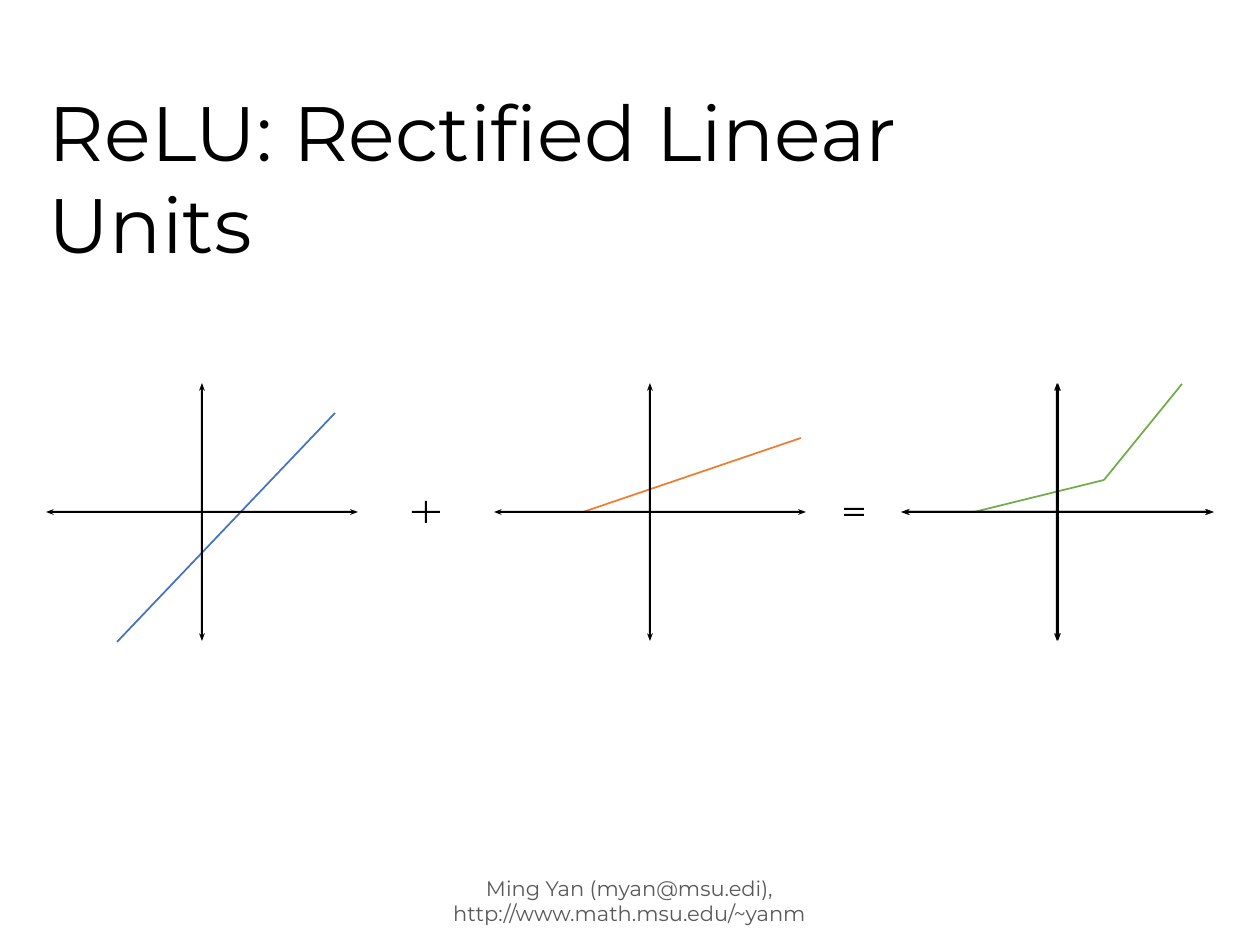
"""Build the slide showing a line plus a ramp equalling a piecewise linear function."""
import itertools

import lxml.etree
import pptx
import pptx.dml.color
import pptx.enum.shapes
import pptx.enum.text
import pptx.oxml.ns
import pptx.util

PX = 914400 // 126
RGBColor = pptx.dml.color.RGBColor
BLACK = RGBColor(0x00, 0x00, 0x00)
GREY = RGBColor(0x59, 0x59, 0x59)
BLUE = RGBColor(0x44, 0x72, 0xC4)
ORANGE = RGBColor(0xED, 0x7D, 0x31)
GREEN = RGBColor(0x70, 0xAD, 0x47)

FONT = "Montserrat"
TITLE = "ReLU: Rectified Linear Units"
FOOTER = "Ming Yan (myan@msu.edi), http://www.math.msu.edu/~yanm"
TITLE_BOX = (47, 128, 927, 96)
FOOTER_BOX = (430, 876, 399, 50)

AXIS_Y = 512
AXIS_REACH = (156, 129)
ARROWHEAD = [(-6, -1), (-8, -3), (0, 0), (-8, 3), (-6, 1)]
BLUNT_END = [(0, -1), (0, 1)]
PLOTS = [
    {"color": BLUE, "axes": [202], "curve": [(117, 642), (335, 413)]},
    {"color": ORANGE, "axes": [650], "curve": [(583, 512), (801, 438)]},
    {"color": GREEN, "axes": [1058, 1057],
     "curve": [(974, 512), (1104, 480), (1182, 384)]},
]
PLUS_X, PLUS_REACH = 426, (14, 11)
EQUAL_BARS = [(844, 508, 20, 2), (844, 514, 20, 2)]


def scaled(lengths):
    return [length * PX for length in lengths]


def fill_text(shape, text, frame_format, align, size, color):
    frame = shape.text_frame
    frame.text = text
    for name, value in frame_format.items():
        setattr(frame, name, value)
    para = frame.paragraphs[0]
    para.alignment = align
    font_format = {"name": FONT, "size": pptx.util.Pt(size), "bold": False}
    for name, value in font_format.items():
        setattr(para.font, name, value)
    para.font.color.rgb = color


def add_curve(slide, points, color):
    for start, end in itertools.pairwise(points):
        segment = slide.shapes.add_connector(
            pptx.enum.shapes.MSO_CONNECTOR.STRAIGHT, *scaled((*start, *end)))
        segment.line.color.rgb = color
        segment.line.width = pptx.util.Pt(1)
        lxml.etree.SubElement(
            segment._element.spPr, pptx.oxml.ns.qn("a:effectLst"))


def cross_outline(center, reach, arm_end):
    points = []
    for turn in range(4):
        length = reach[turn % 2]
        arm = [(1, -1)] + [(length + along, across) for along, across in arm_end]
        for _ in range(turn):
            arm = [(-y, x) for x, y in arm]
        points += [(center + x, AXIS_Y + y) for x, y in arm]
    return points


def bar_outline(left, top, width, height):
    right, bottom = left + width, top + height
    return [(left, top), (right, top), (right, bottom), (left, bottom)]


def add_outline(slide, contours):
    builder = slide.shapes.build_freeform(*contours[0][0], scale=PX)
    for contour in contours:
        builder.move_to(*contour[0])
        builder.add_line_segments(contour[1:], close=True)
    shape = builder.convert_to_shape()
    shape.shadow.inherit = False
    shape.fill.solid()
    shape.fill.fore_color.rgb = BLACK
    shape.line.fill.background()


def main():
    deck = pptx.Presentation()
    deck.slide_width = pptx.util.Inches(10)
    deck.slide_height = pptx.util.Inches(7.5)
    slide = deck.slides.add_slide(deck.slide_layouts[5])
    anchor = pptx.enum.text.MSO_ANCHOR.MIDDLE
    align = pptx.enum.text.PP_ALIGN

    footer = slide.shapes.add_textbox(*scaled(FOOTER_BOX))
    fill_text(footer, FOOTER, {"word_wrap": True, "vertical_anchor": anchor},
              align.CENTER, 12, GREY)

    for plot in PLOTS:
        add_curve(slide, plot["curve"], plot["color"])
        for center in plot["axes"]:
            add_outline(slide, [cross_outline(center, AXIS_REACH, ARROWHEAD)])
    add_outline(slide, [cross_outline(PLUS_X, PLUS_REACH, BLUNT_END)])
    add_outline(slide, [bar_outline(*bar) for bar in EQUAL_BARS])

    title = slide.shapes.title
    title.left, title.top, title.width, title.height = scaled(TITLE_BOX)
    title_format = {
        "word_wrap": True, "vertical_anchor": anchor,
        "auto_size": pptx.enum.text.MSO_AUTO_SIZE.SHAPE_TO_FIT_TEXT,
        "margin_left": 2 * PX, "margin_top": PX,
        "margin_right": 0, "margin_bottom": 0,
    }
    fill_text(title, TITLE, title_format, align.LEFT, 44, BLACK)
    deck.save("out.pptx")


if __name__ == "__main__":
    main()
